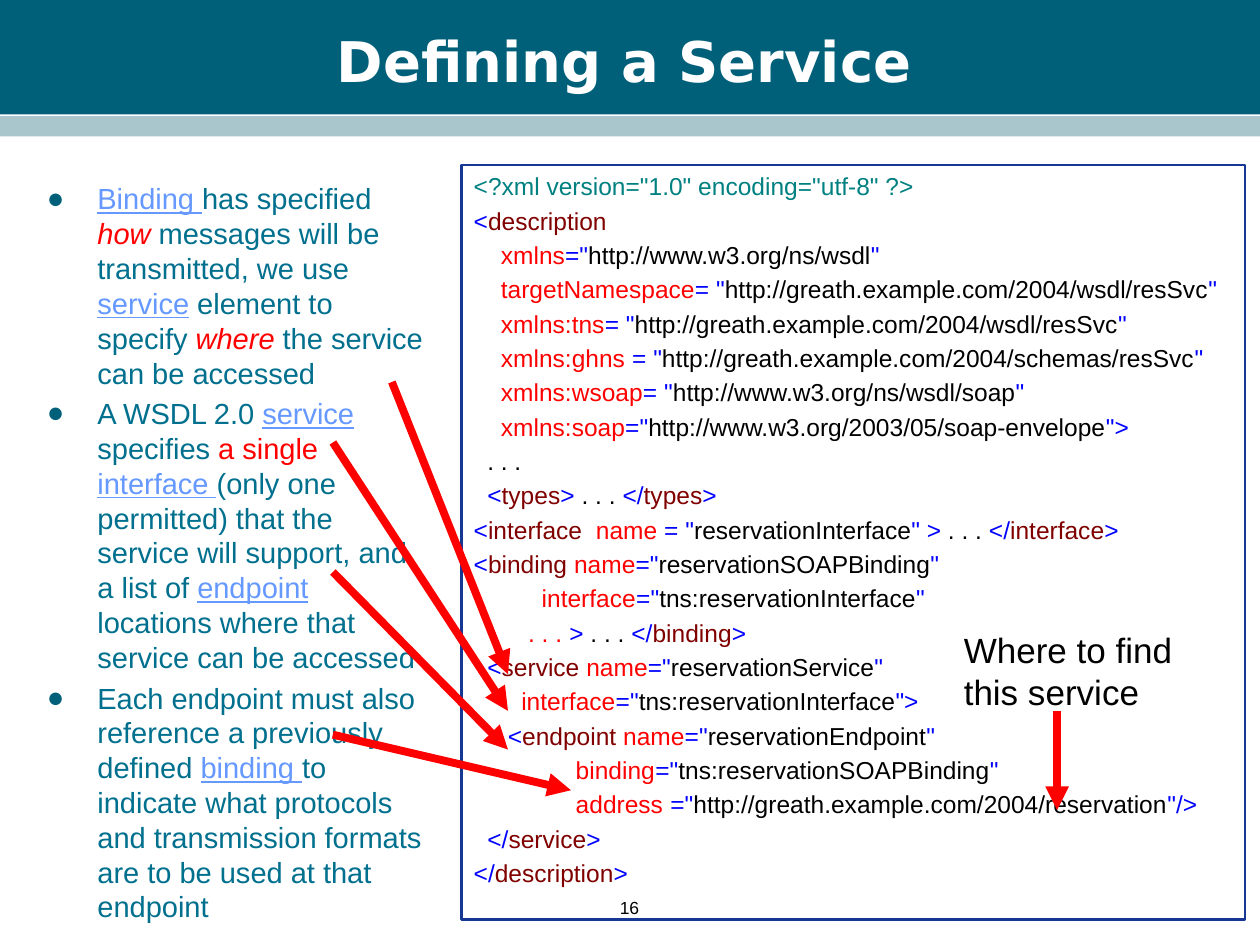
from itertools import groupby

from lxml.etree import SubElement
from pptx import Presentation
from pptx.dml.color import RGBColor
from pptx.enum.shapes import MSO_CONNECTOR as Link, MSO_SHAPE as Preset
from pptx.enum.text import MSO_ANCHOR as Anchor, MSO_AUTO_SIZE as AutoSize, PP_ALIGN as Align
from pptx.oxml.ns import qn
from pptx.util import Cm, Pt

COLORS = {
    "band": "00607A", "stripe": "A9C6CC", "title": "FFFFFF",
    "body": "00708E", "term": "6699FF", "red": "FF0000",
    "frame": "163794", "black": "000000",
    "prolog": "008080", "markup": "0000FF", "element": "800000",
}

# Each bullet is a list of (text, style) runs.
BULLETS = [
    [("Binding ", "term"), ("has specified ", "body"), ("how ", "stress"),
     ("messages will be transmitted, we use ", "body"), ("service", "term"),
     (" element to specify ", "body"), ("where ", "stress"),
     ("the service can be accessed", "body")],
    [("A WSDL 2.0 ", "body"), ("service ", "term"), ("specifies ", "body"),
     ("a single ", "red"), ("interface ", "term"),
     ("(only one permitted) that the service will support, and a list of ", "body"),
     ("endpoint ", "term"), ("locations where that service can be accessed", "body")],
    [("Each endpoint must also reference a previously defined ", "body"),
     ("binding ", "term"),
     ("to indicate what protocols and transmission formats are to be used "
      "at that endpoint", "body")],
]

WSDL_LINES = [
    '<?xml version="1.0" encoding="utf-8" ?>',
    '<description',
    '    xmlns="http://www.w3.org/ns/wsdl"',
    '    targetNamespace= "http://greath.example.com/2004/wsdl/resSvc"',
    '    xmlns:tns= "http://greath.example.com/2004/wsdl/resSvc"',
    '    xmlns:ghns = "http://greath.example.com/2004/schemas/resSvc"',
    '    xmlns:wsoap= "http://www.w3.org/ns/wsdl/soap"',
    '    xmlns:soap="http://www.w3.org/2003/05/soap-envelope">',
    '  . . .',
    '  <types> . . . </types>',
    '<interface  name = "reservationInterface" > . . . </interface>',
    '<binding name="reservationSOAPBinding"',
    '          interface="tns:reservationInterface"',
    '        . . . > . . . </binding>',
    '  <service name="reservationService"',
    '       interface="tns:reservationInterface">',
    '     <endpoint name="reservationEndpoint"',
    '               binding="tns:reservationSOAPBinding"',
    '               address ="http://greath.example.com/2004/reservation"/>',
    '  </service>',
    '</description>',
]

# Start and end of each arrow, in centimetres.
ARROWS = [
    ((7.9, 7.7), (10.24, 13.59)),
    ((6.71, 8.92), (10.24, 14.33)),
    ((6.71, 11.53), (10.24, 15.11)),
    ((6.71, 14.81), (11.51, 15.93)),
    ((21.31, 14.33), (21.31, 16.33)),
]


def rgb(name):
    return RGBColor.from_string(COLORS[name])


def place(shape, left, top, width, height):
    shape.left, shape.top = Cm(left), Cm(top)
    shape.width, shape.height = Cm(width), Cm(height)


def set_font(paragraph, size, color, name="Arial", bold=False):
    font = paragraph.font
    font.name, font.size, font.bold = name, Pt(size), bold
    font.color.rgb = rgb(color)


def space_lines(paragraph, size, first):
    """Lines take 1.2 of the type size; later paragraphs get a fifth above."""
    paragraph.line_spacing = Pt(round(size * 1.2, 1))
    paragraph.space_before = Pt(0 if first else round(size * 0.2, 1))


def add_run(paragraph, text, color):
    run = paragraph.add_run()
    run.text = text
    run.font.color.rgb = rgb(color)
    return run


def add_paragraph(frame, index):
    return frame.add_paragraph() if index else frame.paragraphs[0]


def add_band(slide, top, height, color):
    band = slide.shapes.add_shape(Preset.RECTANGLE, 0, Cm(top), Cm(25.4), Cm(height))
    band.shadow.inherit = False
    band.fill.solid()
    band.fill.fore_color.rgb = rgb(color)
    band.line.fill.background()


def add_bullet(paragraph):
    properties = paragraph._p.get_or_add_pPr()
    properties.set("marL", str(Cm(1.02)))
    properties.set("indent", str(-Cm(1.02)))
    tint = SubElement(properties, qn("a:buClr"))
    SubElement(tint, qn("a:srgbClr"), val=COLORS["band"])
    SubElement(properties, qn("a:buFont"), typeface="Arial")
    SubElement(properties, qn("a:buChar"), char="●")


def fill_title(title):
    place(title, 0.84, 0.43, 23.5, 1.57)
    frame = title.text_frame
    frame.text = "Defining a Service"
    frame.auto_size, frame.vertical_anchor = AutoSize.NONE, Anchor.MIDDLE
    heading = frame.paragraphs[0]
    heading.alignment = Align.CENTER
    set_font(heading, 32, "title", "DejaVu Sans", True)


def fill_body(body):
    place(body, 0.69, 3.73, 8.2, 14.81)
    frame = body.text_frame
    frame.auto_size, frame.vertical_anchor = AutoSize.NONE, Anchor.MIDDLE
    for index, runs in enumerate(BULLETS):
        point = add_paragraph(frame, index)
        add_bullet(point)
        space_lines(point, 16.6, index == 0)
        set_font(point, 16.6, "body")
        for text, style in runs:
            run = add_run(point, text, "red" if style == "stress" else style)
            if style == "term":
                run.font.underline = True
            if style == "stress":
                run.font.italic = True


def color_code(code):
    """Yield (character, colour name) for XML, tracking tags across lines."""
    in_tag = in_name = in_value = in_prolog = False
    for position, char in enumerate(code):
        if code.startswith("<?", position):
            in_prolog = True
        if in_prolog:
            yield char, "prolog"
            in_prolog = char != ">"
        elif char == '"':
            in_value = not in_value
            yield char, "markup"
        elif in_value:
            yield char, "black"
        elif char in "<>":
            in_tag = in_name = char == "<"
            yield char, "markup"
        elif in_tag and char in "/=":
            yield char, "markup"
        else:
            in_name = in_name and not char.isspace()
            yield char, "element" if in_name else "red" if in_tag else "black"


def add_code(slide):
    panel = slide.shapes.add_shape(
        Preset.RECTANGLE, Cm(9.3), Cm(3.33), Cm(15.8), Cm(15.21))
    panel.shadow.inherit = False
    panel.fill.background()
    panel.line.color.rgb = rgb("frame")
    panel.line.width = Pt(1.5)
    frame = panel.text_frame
    frame.word_wrap, frame.vertical_anchor = True, Anchor.TOP
    colored = color_code("\n".join(WSDL_LINES))
    for index, line in enumerate(WSDL_LINES):
        row = add_paragraph(frame, index)
        row.alignment = Align.LEFT
        space_lines(row, 14, index == 0)
        set_font(row, 14, "black")
        characters = [next(colored) for _ in line]
        next(colored, None)  # the line break
        for color, group in groupby(characters, key=lambda pair: pair[1]):
            add_run(row, "".join(char for char, _ in group), color)


def add_label(slide, text, area, size, align):
    label = slide.shapes.add_textbox(*map(Cm, area))
    label.text_frame.word_wrap = True
    label.text_frame.text = text
    paragraph = label.text_frame.paragraphs[0]
    paragraph.alignment = align
    space_lines(paragraph, size, True)
    set_font(paragraph, size, "black")


def add_arrow(slide, start, end):
    arrow = slide.shapes.add_connector(Link.STRAIGHT, *map(Cm, start + end))
    arrow.line.color.rgb = rgb("red")
    arrow.line.width = Pt(4.5)
    SubElement(arrow.line._get_or_add_ln(), qn("a:tailEnd"), type="triangle")
    SubElement(arrow._element.spPr, qn("a:effectLst"))


def main():
    deck = Presentation()
    deck.slide_width, deck.slide_height = Cm(25.4), Cm(19.05)
    slide = deck.slides.add_slide(deck.slide_layouts[1])
    title, body = slide.placeholders
    add_band(slide, 0, 2.31, "band")
    add_band(slide, 2.34, 0.41, "stripe")
    # Bring the placeholders in front of the bands.
    slide.shapes._spTree.extend([title._element, body._element])
    fill_title(title)
    fill_body(body)
    add_label(slide, "16", (9.73, 17.96, 5.92, 0.89), 10, Align.CENTER)
    add_code(slide)
    for start, end in ARROWS:
        add_arrow(slide, start, end)
    add_label(slide, "Where to find this service", (19.18, 12.55, 5.9, 1.96), 20, Align.LEFT)
    deck.save("out.pptx")


if __name__ == "__main__":
    main()
